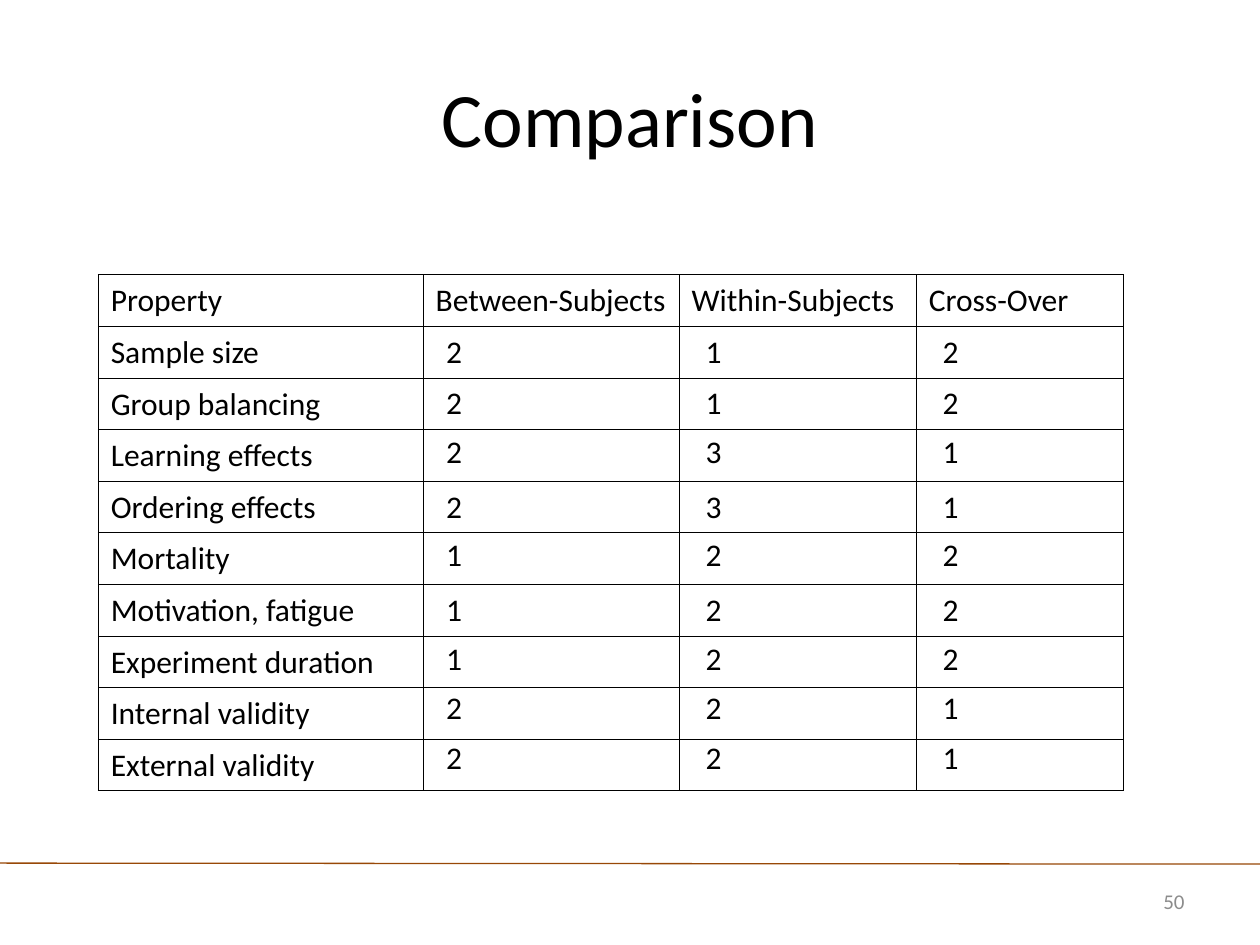
from lxml import etree
from pptx import Presentation
from pptx.dml.color import RGBColor
from pptx.enum import shapes, text
from pptx.oxml.ns import qn
from pptx.util import Cm, Pt

FONT = "Calibri"
BLACK, GREY, BROWN = "000000", "8C8C8C", "984807"
ROW_HEIGHT = 1.04
DESIGN_WIDTHS = [5.16, 4.78, 4.17]

HEADINGS = ["Property", "Between-Subjects", "Within-Subjects", "Cross-Over"]
# property, top of its score strip in cm, scores per design
RATINGS = [
    ("Sample size", 6.6, "212"),
    ("Group balancing", 7.62, "212"),
    ("Learning effects", 8.61, "231"),
    ("Ordering effects", 9.73, "231"),
    ("Mortality", 10.69, "122"),
    ("Motivation, fatigue", 11.79, "122"),
    ("Experiment duration", 12.78, "122"),
    ("Internal validity", 13.77, "221"),
    ("External validity", 14.78, "221"),
]


def color(hex_value):
    return RGBColor.from_string(hex_value)


def write(paragraph, words, size, hex_value):
    run = paragraph.add_run()
    run.text = words
    run.font.name = FONT
    run.font.size = Pt(size)
    run.font.bold = False
    run.font.color.rgb = color(hex_value)


def border_cell(cell, hex_value, width):
    properties = cell._tc.get_or_add_tcPr()
    for position, side in enumerate(("a:lnL", "a:lnR", "a:lnT", "a:lnB")):
        line = etree.Element(qn(side), w=str(Pt(width)))
        fill = etree.SubElement(line, qn("a:solidFill"))
        etree.SubElement(fill, qn("a:srgbClr"), val=hex_value)
        properties.insert(position, line)


def add_grid(slide, left, top, widths, rows, line_spacing=None):
    frame = slide.shapes.add_table(
        len(rows), len(widths), Cm(left), Cm(top),
        Cm(sum(widths)), Cm(ROW_HEIGHT * len(rows)))
    grid = frame.table
    for column, width in zip(grid.columns, widths):
        column.width = Cm(width)
    for row, entries in zip(grid.rows, rows):
        row.height = Cm(ROW_HEIGHT)
        for cell, entry in zip(row.cells, entries):
            cell.fill.background()
            paragraph = cell.text_frame.paragraphs[0]
            paragraph.line_spacing = line_spacing
            if entry:
                write(paragraph, entry, 18, BLACK)
    return grid


def add_title(slide, left, top, width, height):
    title = slide.shapes.title
    title.left, title.top = Cm(left), Cm(top)
    title.width, title.height = Cm(width), Cm(height)
    title.text_frame.vertical_anchor = text.MSO_ANCHOR.MIDDLE
    heading = title.text_frame.paragraphs[0]
    heading.alignment = text.PP_ALIGN.CENTER
    write(heading, "Comparison", 44, BLACK)


def add_comparison(slide, left, top):
    # Score strips, one per property
    for _, strip_top, scores in RATINGS:
        add_grid(slide, left + 6.76, strip_top, [5.23] + DESIGN_WIDTHS[1:], [scores])
    # Ruled grid with headings and property names
    rows = [HEADINGS] + [[name, "", "", ""] for name, _, _ in RATINGS]
    ruled = add_grid(slide, left, top, [6.55] + DESIGN_WIDTHS, rows, 1.02)
    for cell in ruled.iter_cells():
        border_cell(cell, BLACK, 0.45)


def add_footer(slide, left, top, width):
    # Rule across the slide
    rule = slide.shapes.add_connector(
        shapes.MSO_CONNECTOR.STRAIGHT,
        Cm(left), Cm(top), Cm(left + width), Cm(top + 0.02))
    rule.line.color.rgb = color(BROWN)
    rule.line.width = Pt(0.75)
    etree.SubElement(rule._element.spPr, qn("a:effectLst"))
    # Page number
    page = slide.shapes.add_textbox(
        Cm(left + width - 3.58), Cm(top + 0.25), Cm(2.31), Cm(1.02))
    page.text_frame.word_wrap = True
    page.text_frame.vertical_anchor = text.MSO_ANCHOR.MIDDLE
    number = page.text_frame.paragraphs[0]
    number.alignment = text.PP_ALIGN.RIGHT
    write(number, "50", 12, GREY)


def main():
    deck = Presentation()
    deck.slide_width, deck.slide_height = Cm(25.4), Cm(19.05)
    slide = deck.slides.add_slide(deck.slide_layouts[5])
    add_footer(slide, 0, 17.4, 25.4)
    add_title(slide, 1.27, 0.76, 22.86, 3.18)
    add_comparison(slide, 1.98, 5.54)
    deck.save("out.pptx")


if __name__ == "__main__":
    main()
